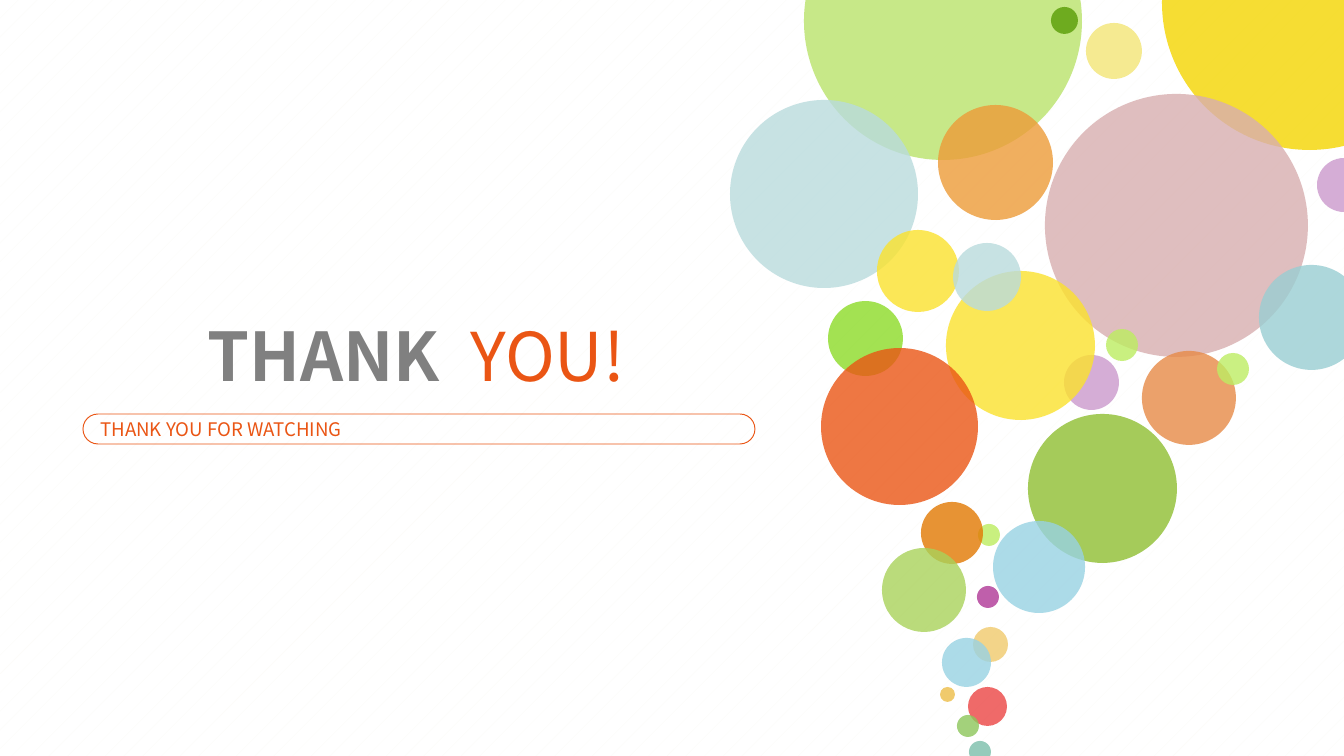
from pptx import Presentation
from pptx.dml.color import RGBColor
from pptx.enum.dml import MSO_PATTERN
from pptx.enum.shapes import MSO_SHAPE as SHAPE
from pptx.enum.text import MSO_ANCHOR as ANCHOR, MSO_AUTO_SIZE as AUTO, PP_ALIGN as ALIGN
from pptx.oxml.ns import qn
from pptx.util import Pt
from lxml import etree

PX = 914400 / 134.4
FONT = "Noto Sans CJK SC"
ORANGE, GRAY = "EA5514", "808080"

# left, top, diameter, colour, opacity %; back to front
BUBBLES = [
    (804, -118, 278, "BAE36B", 80),
    (1051, 7, 27, "6EAB1F", 100),
    (730, 100, 188, "B9DBDD", 80),
    (938, 105, 115, "ED9B38", 80),
    (1086, 23, 56, "F5EA91", 100),
    (1162, -145, 295, "F4D500", 80),
    (1045, 94, 263, "D8AEAF", 80),
    (1259, 265, 105, "99CED2", 80),
    (1317, 158, 54, "CB99CC", 80),
    (1142, 351, 94, "E78A47", 80),
    (1028, 414, 149, "A5CB5A", 100),
    (1217, 353, 32, "BDED63", 80),
    (1106, 329, 32, "BCED61", 80),
    (1064, 355, 55, "CB99CC", 80),
    (946, 271, 149, "FBE22D", 80),
    (877, 230, 82, "FBE22D", 80),
    (828, 301, 75, "8CDB27", 80),
    (978, 524, 22, "BCED60", 80),
    (977, 586, 22, "B03896", 80),
    (973, 627, 35, "F0CA6C", 80),
    (940, 687, 15, "F0CA6C", 100),
    (969, 741, 22, "7BBFAA", 80),
    (968, 687, 39, "EB4544", 80),
    (957, 715, 22, "8DC65B", 80),
    (942, 638, 49, "98D2E3", 80),
    (953, 243, 68, "B9DBDD", 80),
    (993, 521, 92, "98D2E3", 80),
    (921, 502, 62, "E27902", 80),
    (882, 548, 84, "A9D25A", 80),
    (821, 348, 157, ORANGE, 80),
]
TITLE_BOX = (67, 308, 699, 95)
TITLE = [("THANK ", GRAY, True), (" YOU!", ORANGE, False)]
PILL_BOX = (83, 414, 672, 30)
PILL_TEXT = "THANK YOU FOR WATCHING"


def rgb(value):
    return RGBColor.from_string(value)


def emu(*lengths):
    return [round(n * PX) for n in lengths]


def add_bubble(slide, left, top, size, color, opacity):
    sp = slide.shapes.add_shape(SHAPE.OVAL, *emu(left, top, size, size))
    sp.shadow.inherit = False
    sp.line.fill.background()
    sp.fill.solid()
    sp.fill.fore_color.rgb = rgb(color)
    if opacity < 100:
        clr = sp.fill._xPr.find(".//" + qn("a:srgbClr"))
        etree.SubElement(clr, qn("a:alpha")).set("val", str(opacity * 1000))


def add_title(slide):
    tf = slide.shapes.add_textbox(*emu(*TITLE_BOX)).text_frame
    tf.word_wrap = True
    tf.auto_size = AUTO.SHAPE_TO_FIT_TEXT
    p = tf.paragraphs[0]
    p.alignment = ALIGN.CENTER
    p.font.size, p.font.name = Pt(36), FONT
    for text, color, bold in TITLE:
        r = p.add_run()
        r.text = text
        r.font.bold = bold
        r.font.color.rgb = rgb(color)


def add_pill(slide):
    sp = slide.shapes.add_shape(SHAPE.ROUNDED_RECTANGLE, *emu(*PILL_BOX))
    sp.adjustments[0] = 0.5
    sp.shadow.inherit = False
    sp.fill.background()
    sp.line.color.rgb = rgb(ORANGE)
    sp.line.width = Pt(0.5)
    tf = sp.text_frame
    tf.word_wrap = True
    tf.vertical_anchor = ANCHOR.MIDDLE
    p = tf.paragraphs[0]
    p.text = PILL_TEXT
    p.alignment = ALIGN.JUSTIFY
    p.font.size, p.font.name = Pt(10), FONT
    p.font.color.rgb = rgb(ORANGE)


def main():
    prs = Presentation()
    prs.slide_width, prs.slide_height = emu(1344, 756)
    slide = prs.slides.add_slide(prs.slide_layouts[6])
    fill = slide.background.fill
    fill.patterned()
    fill.pattern = MSO_PATTERN.PERCENT_5
    fill.fore_color.rgb = rgb("FCFBF7")
    fill.back_color.rgb = rgb("FFFFFF")
    for bubble in BUBBLES:
        add_bubble(slide, *bubble)
    add_title(slide)
    add_pill(slide)
    prs.save("out.pptx")


if __name__ == "__main__":
    main()
